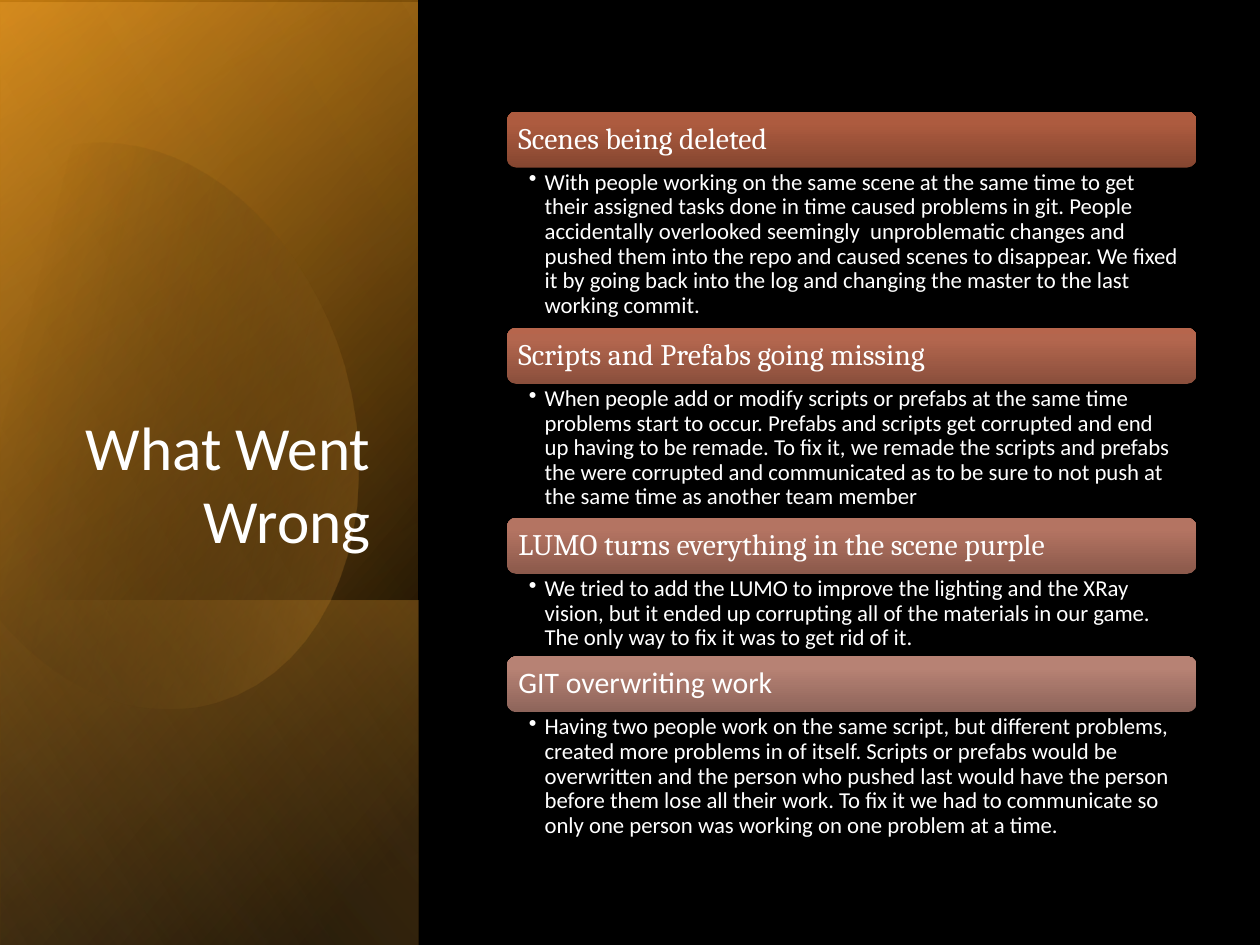
import math

import pptx
import pptx.dml.color
import pptx.enum.shapes
import pptx.enum.text
import pptx.oxml
import pptx.oxml.ns
import pptx.util

Cm = pptx.util.Cm
Anchor = pptx.enum.text.MSO_ANCHOR
Align = pptx.enum.text.PP_ALIGN
Preset = pptx.enum.shapes.MSO_SHAPE
qn = pptx.oxml.ns.qn
NS = pptx.oxml.ns.nsdecls("a")


def rgb(value):
    return pptx.dml.color.RGBColor.from_string(value)


def bezier(start, control_1, control_2, end, steps=16):
    """Points along a cubic curve, without its start."""
    points = []
    for step in range(1, steps + 1):
        t = step / steps
        weights = ((1 - t) ** 3, 3 * t * (1 - t) ** 2, 3 * t * t * (1 - t), t ** 3)
        corners = (start, control_1, control_2, end)
        points.append(tuple(sum(w * c[axis] for w, c in zip(weights, corners))
                            for axis in (0, 1)))
    return points


def turn(point, centre, degrees):
    """Turn a point clockwise about a centre."""
    angle = math.radians(degrees)
    dx, dy = point[0] - centre[0], point[1] - centre[1]
    return (centre[0] + dx * math.cos(angle) - dy * math.sin(angle),
            centre[1] + dx * math.sin(angle) + dy * math.cos(angle))


class SlideBuilder:
    text_colour = "FFFFFF"

    def __init__(self, slide):
        self.slide = slide
        self.shapes = slide.shapes

    def background(self, colour):
        self.slide.background.fill.solid()
        self.slide.background.fill.fore_color.rgb = rgb(colour)

    def start_group(self):
        self.shapes = self.slide.shapes.add_group_shape().shapes

    def gradient(self, shape, stops, angle):
        """Stops are (position %, colour, opacity %)."""
        shape.shadow.inherit = False
        shape.line.fill.background()
        shape.fill.gradient()
        marks = "".join(
            f'<a:gs pos="{position * 1000}"><a:srgbClr val="{colour}">'
            f'<a:alpha val="{opacity * 1000}"/></a:srgbClr></a:gs>'
            for position, colour, opacity in stops)
        properties = shape._element.spPr
        properties.replace(properties.find(qn("a:gradFill")), pptx.oxml.parse_xml(
            f'<a:gradFill {NS} rotWithShape="1"><a:gsLst>{marks}</a:gsLst>'
            f'<a:lin ang="{angle * 60000}" scaled="0"/></a:gradFill>'))

    def panel(self, left, top, width, height, stops, angle):
        """Rectangle mirrored and then given a quarter turn."""
        panel = self.shapes.add_shape(
            Preset.RECTANGLE, Cm(left), Cm(top), Cm(width), Cm(height))
        panel.rotation = 90
        panel._element.spPr.find(qn("a:xfrm")).set("flipH", "1")
        self.gradient(panel, stops, angle)

    def outline(self, points, centre, rotation, stops, angle):
        """Closed outline, given as it lies on the slide after its rotation."""
        corners = [tuple(Cm(v) for v in turn(p, centre, -rotation)) for p in points]
        builder = self.shapes.build_freeform(*corners[0])
        builder.add_line_segments(corners[1:], close=True)
        outline = builder.convert_to_shape()
        outline.rotation = rotation
        self.gradient(outline, stops, angle)

    def band(self, left, top, width, height, colours):
        band = self.shapes.add_shape(
            Preset.ROUNDED_RECTANGLE, Cm(left), Cm(top), Cm(width), Cm(height))
        self.gradient(band, [(position, colour, 100) for position, colour
                             in zip((0, 80, 100), colours)], 270)
        band._element.spPr.find(qn("a:effectLst")).append(pptx.oxml.parse_xml(
            f'<a:outerShdw {NS} blurRad="{pptx.util.Pt(3.1)}" dist="{pptx.util.Pt(1.8)}" '
            'dir="5400000" rotWithShape="0"><a:srgbClr val="000000">'
            '<a:alpha val="35000"/></a:srgbClr></a:outerShdw>'))

    def text(self, left, top, width, height, words, size, font="Calibri",
             anchor=Anchor.TOP, align=Align.LEFT, insets=(0.25, 0.13, 0.25, 0.13),
             spacing=0.9, bullet=False):
        frame = self.shapes.add_textbox(
            Cm(left), Cm(top), Cm(width), Cm(height)).text_frame
        frame.word_wrap = True
        frame.vertical_anchor = anchor
        (frame.margin_left, frame.margin_top,
         frame.margin_right, frame.margin_bottom) = map(Cm, insets)
        paragraph = frame.paragraphs[0]
        paragraph.alignment = align
        paragraph.line_spacing = spacing
        if bullet:
            paragraph.level = 1
            properties = paragraph._p.get_or_add_pPr()
            properties.set("marL", str(Cm(0.32)))
            properties.set("indent", str(Cm(-0.32)))
            properties.append(pptx.oxml.parse_xml(f'<a:buChar {NS} char="•"/>'))
        paragraph.font.size = pptx.util.Pt(size)
        run = paragraph.add_run()
        run.text = words
        run.font.size = pptx.util.Pt(size)
        run.font.name = font
        run.font.color.rgb = rgb(self.text_colour)


PROBLEMS = [
    ("Scenes being deleted", "Cambria", ("854630", "AD5B3F", "AF5A3D"), 3.23,
     "With people working on the same scene at the same time to get their assigned tasks "
     "done in time caused problems in git. People accidentally overlooked seemingly  "
     "unproblematic changes and pushed them into the repo and caused scenes to disappear. "
     "We fixed it by going back into the log and changing the master to the last working "
     "commit."),
    ("Scripts and Prefabs going missing", "Cambria", ("8A4F3C", "B3664E", "B6654C"), 2.7,
     "When people add or modify scripts or prefabs at the same time problems start to occur. "
     "Prefabs and scripts get corrupted and end up having to be remade. To fix it, we remade "
     "the scripts and prefabs the were corrupted and communicated as to be sure to not push "
     "at the same time as another team member"),
    ("LUMO turns everything in the scene purple", "Cambria",
     ("8B594B", "B47462", "B77460"), 1.66,
     "We tried to add the LUMO to improve the lighting and the XRay vision, but it ended up "
     "corrupting all of the materials in our game. The only way to fix it was to get rid "
     "of it."),
    ("GIT overwriting work", "Calibri", ("8D645A", "B78274", "B98274"), 2.7,
     "Having two people work on the same script, but different problems, created more "
     "problems in of itself. Scripts or prefabs would be overwritten and the person who "
     "pushed last would have the person before them lose all their work. To fix it we had "
     "to communicate so only one person was working on one problem at a time."),
]
LIST_LEFT, LIST_TOP, LIST_WIDTH, BAND_HEIGHT = 10.22, 2.25, 13.9, 1.13


def oval_points():
    points = [(2.44, 2.9)]
    for curve in (((4.34, 3.1), (6.2, 4.88), (6.93, 7.37)),
                  ((7.8, 10.46), (6.65, 13.49), (4.34, 14.15)),
                  ((2.9, 14.58), (1.35, 13.97), (0.18, 12.7))):
        points += bezier(points[-1], *curve)
    points += [(-0.08, 12.4), (-0.64, 4.22), (-0.38, 3.91)]
    for curve in (((0.05, 3.48), (0.56, 3.18), (1.14, 3)),
                  ((1.57, 2.87), (2.01, 2.84), (2.44, 2.9))):
        points += bezier(points[-1], *curve)
    return points


def main():
    deck = pptx.Presentation()
    deck.slide_width, deck.slide_height = Cm(25.4), Cm(19.05)
    page = SlideBuilder(deck.slides.add_slide(deck.slide_layouts[6]))
    page.background("000000")

    side = (19.05, 8.42)
    page.panel(-5.31, 5.32, *side, [(8, "000000", 100), (100, "C87D0E", 100)], 50)
    page.panel(-5.31, 5.36, *side, [(0, "000000", 0), (99, "F0A22E", 46)], 30)
    page.panel(0.74, 11.38, 6.96, 8.42, [(2, "F0A22E", 29), (100, "000000", 30)], 130)
    page.outline(oval_points(), (3.02, 8.5), 343.9,
                 [(29, "000000", 0), (100, "F0A22E", 43)], 30)
    page.panel(-5.31, 5.32, *side, [(0, "000000", 0), (99, "F6C782", 11)], 120)
    page.text(1.22, 4.69, 6.5, 6.65, "What Went Wrong", 35,
              anchor=Anchor.BOTTOM, align=Align.RIGHT, spacing=1.0)

    page.start_group()
    top = LIST_TOP
    for heading, font, colours, detail_height, detail in PROBLEMS:
        page.band(LIST_LEFT, top, LIST_WIDTH, BAND_HEIGHT, colours)
        page.text(LIST_LEFT + 0.06, top + 0.06, LIST_WIDTH - 0.12, BAND_HEIGHT - 0.12,
                  heading, 17, font, Anchor.MIDDLE, insets=(0.17,) * 4)
        top += BAND_HEIGHT
        page.text(LIST_LEFT, top, LIST_WIDTH, detail_height, detail, 13,
                  insets=(0.44, 0.06, 0.32, 0.06), bullet=True)
        top += detail_height
    deck.save("out.pptx")


if __name__ == "__main__":
    main()
